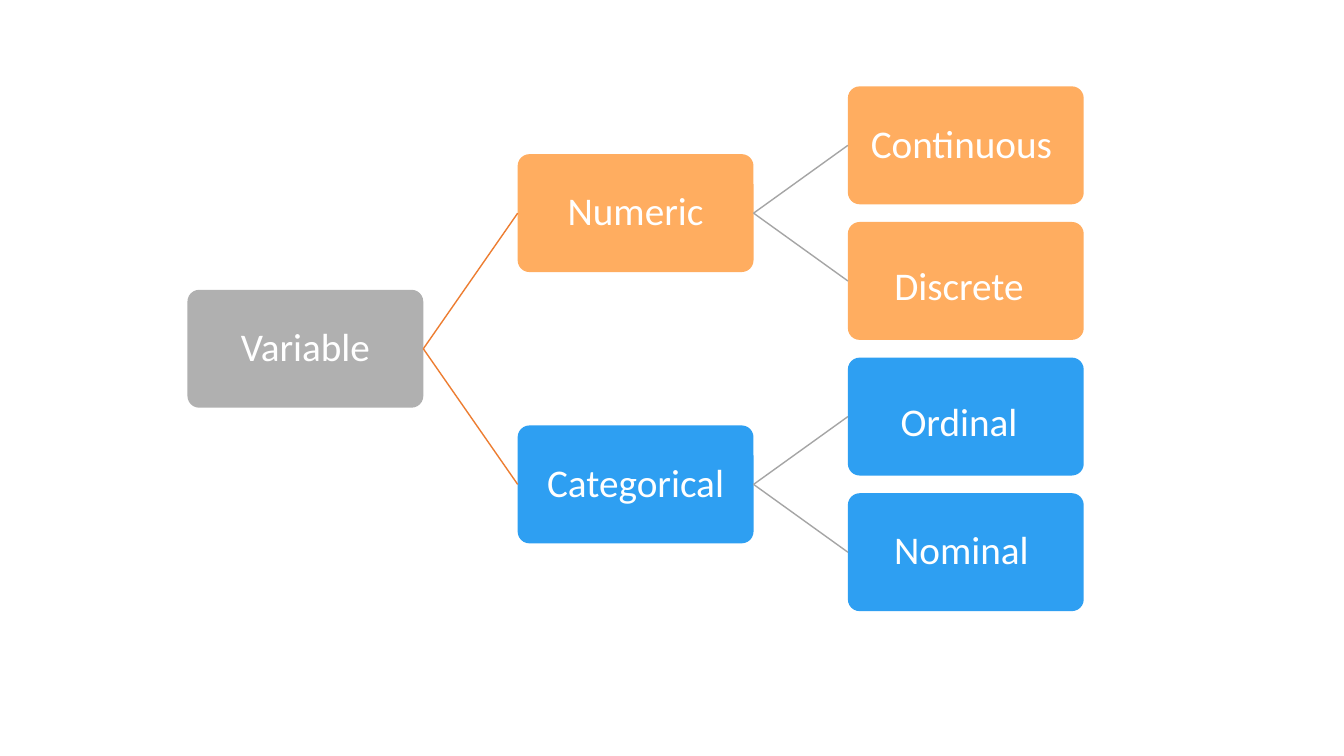
from pptx import Presentation
from pptx.dml.color import RGBColor
from pptx.enum.shapes import MSO_CONNECTOR, MSO_SHAPE
from pptx.enum.text import MSO_ANCHOR, PP_ALIGN
from pptx.oxml.ns import qn
from pptx.util import Pt
from lxml.etree import SubElement

COLOURS = {
    "grey": "B0B0B0",
    "orange": "FFAD60",
    "blue": "2E9FF2",
    "text": "FFFFFF",
    "root_link": "ED7D31",
    "leaf_link": "A5A5A5",
}
BOX_WIDTH, BOX_HEIGHT = 168.48, 84.24
LEFT, TOP = 133.92, 61.7
COLUMN_STEP = 1.4 * BOX_WIDTH
ROW_STEP = 1.15 * BOX_HEIGHT
INSET = 4
BRANCHES = [
    ("Numeric", "orange", 0.5, [("Continuous ", ""), ("Discrete", " ")]),
    ("Categorical", "blue", 2.5, [("Ordinal", " "), ("Nominal ", "")]),
]


def colour(name):
    return RGBColor.from_string(COLOURS[name])


def add_box(slide, label, fill, column, row, large_space=""):
    shape = slide.shapes.add_shape(
        MSO_SHAPE.ROUNDED_RECTANGLE,
        Pt(LEFT + column * COLUMN_STEP), Pt(TOP + row * ROW_STEP),
        Pt(BOX_WIDTH), Pt(BOX_HEIGHT))
    shape.adjustments[0] = 0.1
    shape.shadow.inherit = False
    shape.fill.solid()
    shape.fill.fore_color.rgb = colour(fill)
    shape.line.fill.background()
    frame = shape.text_frame
    frame.word_wrap = True
    frame.vertical_anchor = MSO_ANCHOR.MIDDLE
    frame.margin_left = frame.margin_right = Pt(INSET)
    frame.margin_top = frame.margin_bottom = Pt(INSET)
    paragraph = frame.paragraphs[0]
    paragraph.alignment = PP_ALIGN.CENTER
    paragraph.line_spacing = 0.9
    paragraph.font.name = "Calibri"
    paragraph.font.size = Pt(28)
    paragraph.font.color.rgb = colour("text")
    runs = [(label, 28, False)]
    if large_space:
        runs.append((large_space, 43, True))
    for text, size, bold in runs:
        run = paragraph.add_run()
        run.text = text
        run.font.name = "Calibri"
        run.font.size = Pt(size)
        run.font.bold = bold
        run.font.color.rgb = colour("text")
    return shape


def add_link(slide, parent, child, line_colour):
    connector = slide.shapes.add_connector(MSO_CONNECTOR.STRAIGHT, 0, 0, 0, 0)
    connector.begin_connect(parent, 3)
    connector.end_connect(child, 1)
    connector.line.color.rgb = colour(line_colour)
    connector.line.width = Pt(1)
    SubElement(connector._element.spPr, qn("a:effectLst"))


def main():
    presentation = Presentation()
    presentation.slide_width = Pt(960)
    presentation.slide_height = Pt(540)
    slide = presentation.slides.add_slide(presentation.slide_layouts[6])
    variable = add_box(slide, "Variable", "grey", 0, 1.5)
    for label, fill, row, leaves in BRANCHES:
        branch = add_box(slide, label, fill, 1, row)
        add_link(slide, variable, branch, "root_link")
        for offset, (leaf_label, large_space) in zip((-0.5, 0.5), leaves):
            leaf = add_box(slide, leaf_label, fill, 2, row + offset, large_space)
            add_link(slide, branch, leaf, "leaf_link")
    presentation.save("out.pptx")


if __name__ == "__main__":
    main()
